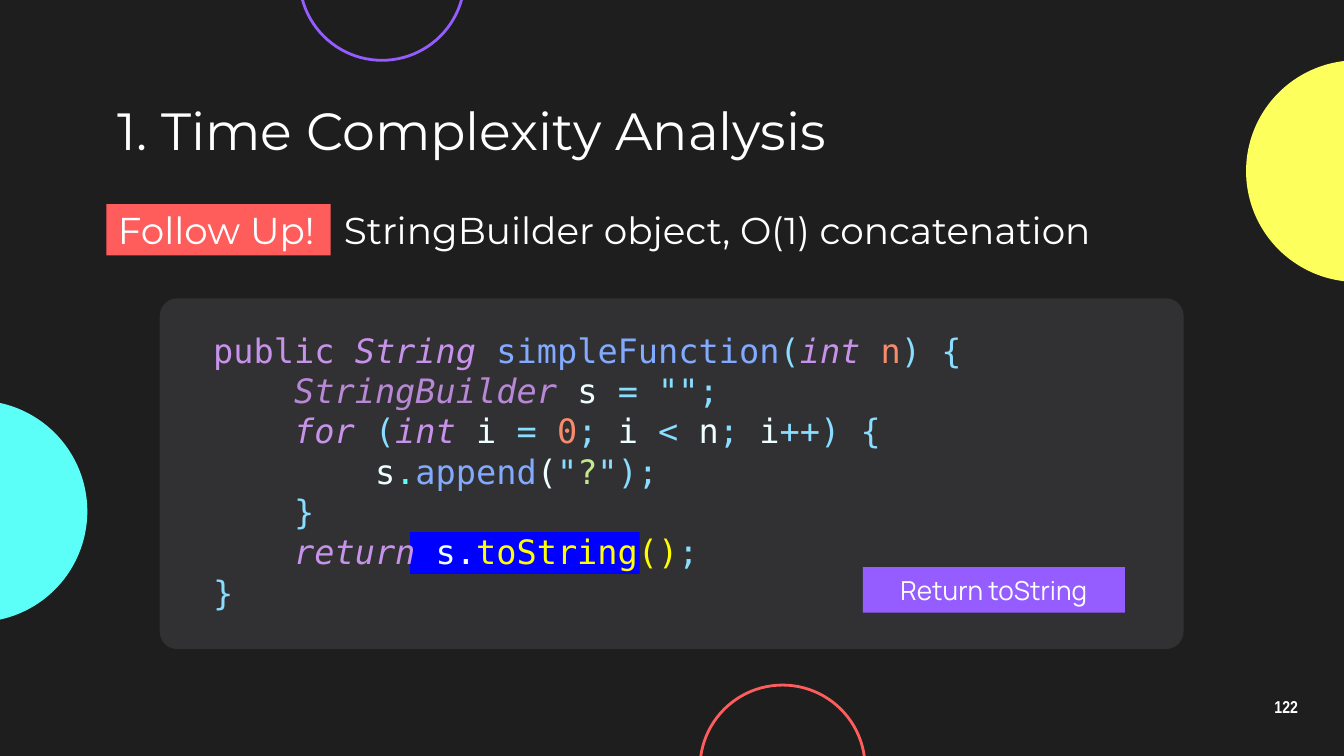
from lxml import etree
from pptx import Presentation
from pptx.dml.color import RGBColor as RGB
from pptx.enum.shapes import MSO_SHAPE as SHAPE
from pptx.enum.text import MSO_ANCHOR as ANCHOR, PP_ALIGN as ALIGN
from pptx.oxml.ns import qn
from pptx.util import Cm, Pt

COLORS = {
    "background": "1E1E1E", "panel": "313133", "white": "FFFFFF",
    "cyan": "5CFFF8", "yellow": "FDFF5C", "purple": "955CFF", "red": "FF5C5C",
    "marker": "0000FF",
    "keyword": "C792EA", "class": "B888D7", "function": "82AAFF",
    "symbol": "89DDFF", "number": "F78C6C", "plain": "EEFFFF",
    "string": "C3E88D", "marked": "FFFF00",
}
ITALIC = {"type", "flow", "class"}
SYNTAX = {"type": "keyword", "flow": "keyword"}  # italic styles sharing a colour

CODE = [
    [("keyword", "public "), ("type", "String "), ("function", "simpleFunction"),
     ("symbol", "("), ("type", "int "), ("number", "n"), ("symbol", ") {")],
    [("plain", "    "), ("class", "StringBuilder"), ("plain", " s "),
     ("symbol", '= "";')],
    [("plain", "    "), ("flow", "for "), ("symbol", "("), ("type", "int "),
     ("plain", "i "), ("symbol", "= "), ("number", "0"), ("symbol", "; "),
     ("plain", "i "), ("symbol", "<"), ("plain", " n"), ("symbol", "; "),
     ("plain", "i"), ("symbol", "++) {")],
    [("plain", "        s"), ("cyan", "."), ("function", "append"),
     ("plain", "("), ("symbol", '"'), ("string", "?"), ("symbol", '");')],
    [("symbol", "    }")],
    [("plain", "    "), ("flow", "return "), ("plain", "s"), ("white", "."),
     ("marked", "toString()"), ("symbol", ";")],
    [("symbol", "}")],
]


def rgb(name):
    return RGB.from_string(COLORS[name])


class SlideBuilder:
    def __init__(self, prs):
        self.s = prs.slides.add_slide(prs.slide_layouts[6])
        fill = self.s.background.fill
        fill.solid()
        fill.fore_color.rgb = rgb("background")

    def shape(self, kind, x, y, w, h, fill=None, line=None):
        sp = self.s.shapes.add_shape(kind, Cm(x), Cm(y), Cm(w), Cm(h))
        sp.shadow.inherit = False
        if fill:
            sp.fill.solid()
            sp.fill.fore_color.rgb = rgb(fill)
        else:
            sp.fill.background()
        if line:
            sp.line.color.rgb = rgb(line)
            sp.line.width = Pt(1.5)
        else:
            sp.line.fill.background()
        return sp

    def circle(self, x, y, d, **style):
        return self.shape(SHAPE.OVAL, x, y, d, d, **style)

    def box(self, x, y, w, h, inset=0.25, anchor=ANCHOR.TOP):
        tf = self.s.shapes.add_textbox(Cm(x), Cm(y), Cm(w), Cm(h)).text_frame
        tf.word_wrap = True
        tf.vertical_anchor = anchor
        tf.margin_left = tf.margin_right = Cm(0.25)
        tf.margin_top = tf.margin_bottom = Cm(inset)
        return tf

    def font(self, item, face, size, color="white", bold=False, italic=False):
        f = item.font
        f.name, f.size, f.bold, f.italic = face, Pt(size), bold, italic
        f.color.rgb = rgb(color)

    def text(self, tf, text, face, size, align=ALIGN.LEFT, bold=False):
        p = tf.paragraphs[0]
        p.text = text
        p.alignment = align
        for r in p.runs:
            self.font(r, face, size, bold=bold)
        return p

    def tab_stop(self, p, pos):
        tabs = etree.SubElement(p._p.get_or_add_pPr(), qn("a:tabLst"))
        etree.SubElement(tabs, qn("a:tab"), pos=str(Cm(pos)), algn="l")

    def code(self, tf, lines):
        for i, line in enumerate(lines):
            p = tf.add_paragraph() if i else tf.paragraphs[0]
            for style, text in line:
                r = p.add_run()
                r.text = text
                self.font(r, "DejaVu Sans Mono", 18, SYNTAX.get(style, style),
                          italic=style in ITALIC)


def main():
    prs = Presentation()
    prs.slide_width, prs.slide_height = Cm(25.4), Cm(14.29)
    b = SlideBuilder(prs)

    b.circle(-2.54, 7.57, 4.19, fill="cyan")
    b.circle(23.55, 1.14, 4.19, fill="yellow")
    b.circle(5.66, -1.98, 3.12, line="purple")
    b.circle(13.23, 12.95, 3.12, line="red")

    panel = b.shape(SHAPE.ROUNDED_RECTANGLE, 3.02, 5.64, 19.35, 6.63, fill="panel")
    panel.adjustments[0] = 0.05
    b.shape(SHAPE.RECTANGLE, 2.01, 3.86, 4.24, 0.97, fill="red")

    number = b.box(23.55, 12.95, 1.52, 0.86, anchor=ANCHOR.MIDDLE)
    p = b.text(number, "122", "Arial Narrow", 9.2, ALIGN.CENTER, bold=True)
    p.line_spacing = 0.9

    title = b.box(1.98, 1.8, 21.44, 1.3, anchor=ANCHOR.MIDDLE)
    b.text(title, "1. Time Complexity Analysis", "Montserrat", 28)

    subtitle = b.box(1.98, 3.66, 21.95, 1.3)
    p = b.text(subtitle, "Follow Up!\tStringBuilder object, O(1) concatenation",
               "Montserrat", 20)
    b.tab_stop(p, 4.27)

    b.shape(SHAPE.RECTANGLE, 7.75, 10.06, 4.34, 0.79, fill="marker")
    b.code(b.box(3.78, 6.1, 17.4, 5.64, inset=0.13), CODE)

    label = b.shape(SHAPE.RECTANGLE, 16.31, 10.72, 4.95, 0.86, fill="purple")
    b.text(label.text_frame, "Return toString", "Manrope", 14, ALIGN.CENTER)

    prs.save("out.pptx")


if __name__ == "__main__":
    main()
